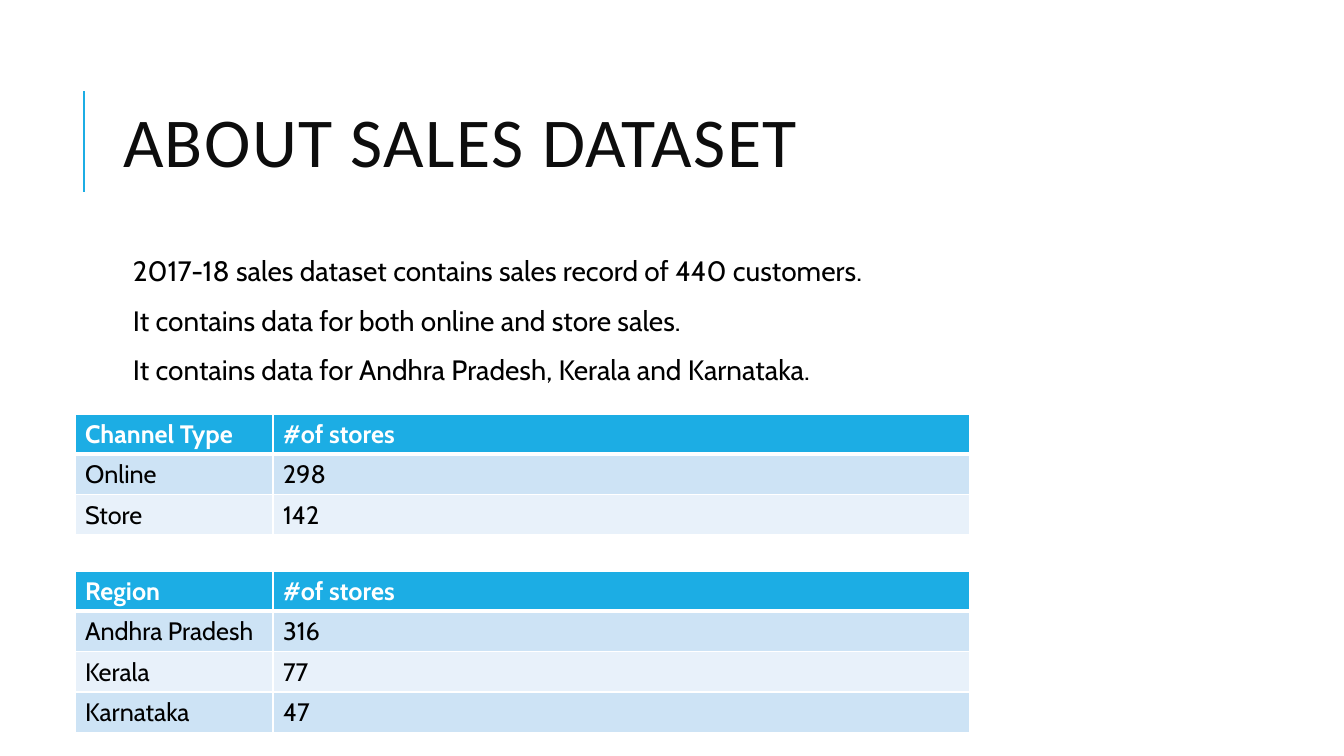
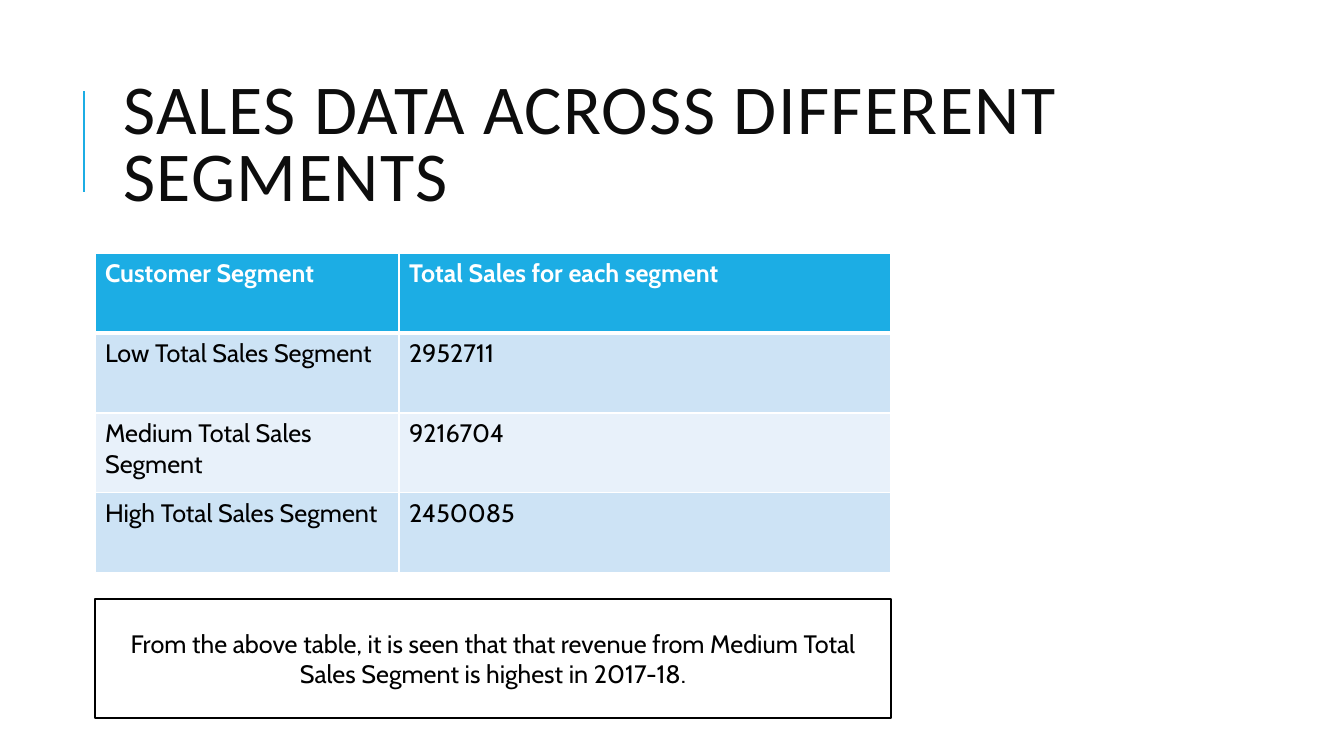
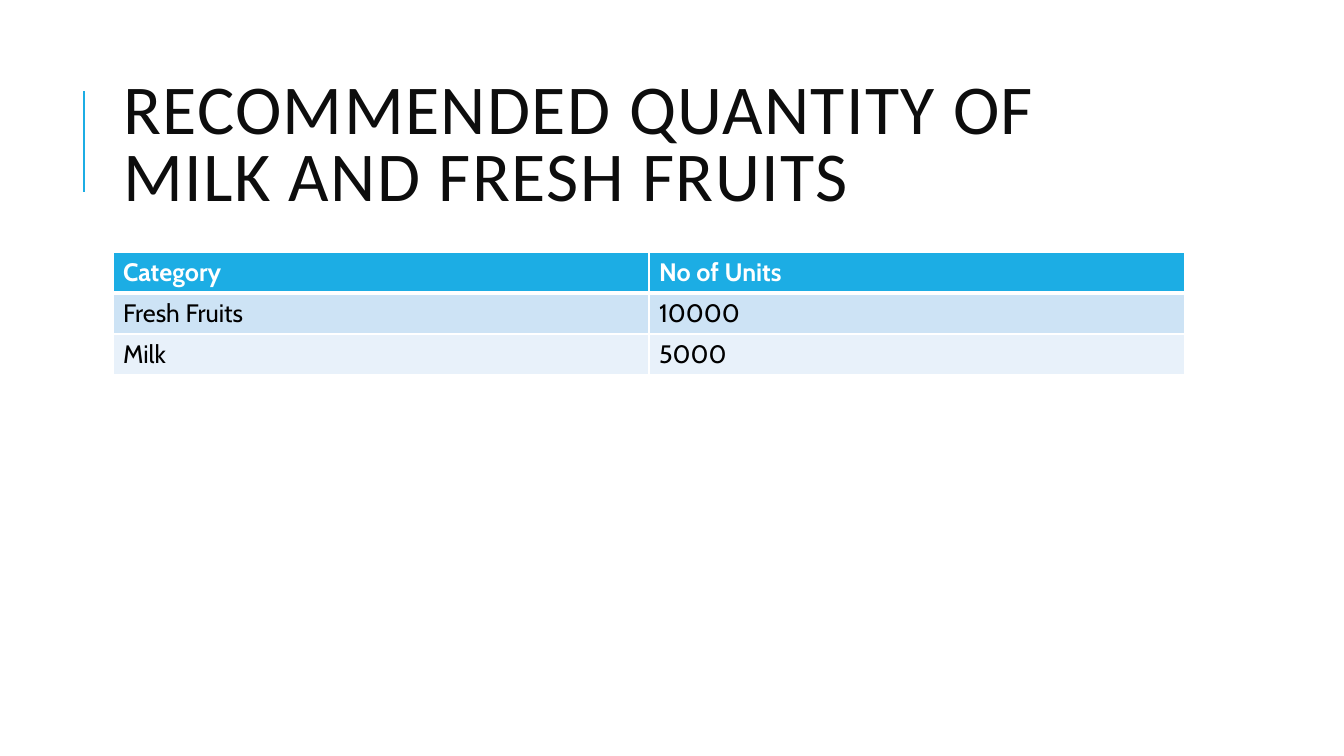
from pptx import Presentation
from pptx.dml.color import RGBColor
from pptx.enum.shapes import MSO_CONNECTOR, MSO_SHAPE
from pptx.enum.text import MSO_ANCHOR, MSO_AUTO_SIZE, PP_ALIGN
from pptx.oxml.ns import qn
from pptx.util import Emu, Pt
from lxml import etree

LEFT, CENTER = PP_ALIGN.LEFT, PP_ALIGN.CENTER
TOP, MIDDLE = MSO_ANCHOR.TOP, MSO_ANCHOR.MIDDLE
NO_FIT = MSO_AUTO_SIZE.NONE
RECTANGLE, STRAIGHT = MSO_SHAPE.RECTANGLE, MSO_CONNECTOR.STRAIGHT

# Content, with positions and sizes in px
PAGES = [
    {
        "title": "ABOUT SALES DATASET",
        "facts": [
            "2017-18 sales dataset contains sales record of 440 customers.",
            "It contains data for both online and store sales.",
            "It contains data for Andhra Pradesh, Kerala and Karnataka.",
        ],
        "tables": [
            {"at": (75, 414), "columns": (198, 697), "row": 40, "rows": [
                ("Channel Type", "#of stores"),
                ("Online", "298"),
                ("Store", "142")]},
            {"at": (75, 571), "columns": (198, 697), "row": 40, "rows": [
                ("Region", "#of stores"),
                ("Andhra Pradesh", "316"),
                ("Kerala", "77"),
                ("Karnataka", "47")]},
        ],
    },
    {
        "title": "SALES DATA ACROSS DIFFERENT SEGMENTS",
        "tables": [
            {"at": (95, 253), "columns": (304, 492), "row": 80, "rows": [
                ("Customer Segment", "Total Sales for each segment"),
                ("Low Total Sales Segment", "2952711"),
                ("Medium Total Sales Segment", "9216704"),
                ("High Total Sales Segment", "2450085")]},
        ],
        "finding": "From the above table, it is seen that that revenue from "
                   "Medium Total Sales Segment is highest in 2017-18.",
    },
    {
        "title": "RECOMMENDED QUANTITY OF MILK AND FRESH FRUITS",
        "tables": [
            {"at": (113, 252), "columns": (536, 536), "row": 41, "rows": [
                ("Category", "No of Units"),
                ("Fresh Fruits", "10000"),
                ("Milk", "5000")]},
        ],
    },
]

PAGE_SIZE = (1344, 756)
TITLE_AREA = (113, 65, 1072, 165)
TITLE_RULE = (84, 192, 84, 91)
FACTS_AREA = (133, 257, 1047, 130)
FINDING_AREA = (95, 599, 796, 119)


class Theme:
    accent = RGBColor.from_string("1CADE4")
    paper = RGBColor.from_string("FFFFFF")
    ink = RGBColor.from_string("000000")
    bands = [RGBColor.from_string(code) for code in ("CDE3F5", "E8F1FA")]
    rule, outline = Pt(1.5), Pt(1.25)
    grid, header_grid = 1, 3
    title = {"name": "Calibri", "size": Pt(50), "bold": False,
             "color": RGBColor.from_string("0D0D0D")}
    fact = {"name": "Cabin", "size": Pt(20), "color": ink}
    cell = {"name": "Cabin", "size": Pt(18), "bold": False, "color": ink}
    header = {**cell, "bold": True, "color": paper}
    title_para = {"alignment": LEFT, "line_spacing": 0.8}
    fact_para = {"alignment": LEFT, "line_spacing": 0.9,
                 "space_before": Pt(12), "space_after": Pt(2)}


def px(*lengths):
    return [Emu(round(length * 914400 / 100.8)) for length in lengths]


def assign(target, values):
    for name, value in values.items():
        setattr(target, name, value)


def write(para, text, font, layout=None):
    span = para.add_run()
    span.text = text
    for name, value in font.items():
        if name == "color":
            span.font.color.rgb = value
        else:
            setattr(span.font, name, value)
    assign(para, layout or {})
    return span


def add_title(page, text):
    title = page.shapes.title
    assign(title, dict(zip(("left", "top", "width", "height"), px(*TITLE_AREA))))
    assign(title.text_frame, {"word_wrap": True, "auto_size": NO_FIT,
                              "vertical_anchor": MIDDLE})
    span = write(title.text_frame.paragraphs[0], text, Theme.title, Theme.title_para)
    span.font._element.set("spc", "100")
    # Accent rule beside the title
    rule = page.shapes.add_connector(STRAIGHT, *px(*TITLE_RULE))
    rule.line.color.rgb = Theme.accent
    rule.line.width = Theme.rule
    etree.SubElement(rule._element.spPr, qn("a:effectLst"))


def add_facts(page, facts):
    frame = page.shapes.add_textbox(*px(*FACTS_AREA)).text_frame
    assign(frame, {"word_wrap": True, "vertical_anchor": TOP, "margin_left": 0,
                   "margin_top": 0, "margin_right": 0, "margin_bottom": 0})
    for index, fact in enumerate(facts):
        para = frame.add_paragraph() if index else frame.paragraphs[0]
        write(para, fact, Theme.fact, Theme.fact_para)


def add_borders(cell, top, bottom):
    properties = cell._tc.get_or_add_tcPr()
    widths = {"lnL": Theme.grid, "lnR": Theme.grid, "lnT": top, "lnB": bottom}
    for side, width in widths.items():
        line = etree.SubElement(properties, qn(f"a:{side}"), w=str(Pt(width)))
        fill = etree.SubElement(line, qn("a:solidFill"))
        etree.SubElement(fill, qn("a:srgbClr"), val=str(Theme.paper))


def add_data_table(page, at, columns, row, rows):
    size = (sum(columns), row * len(rows))
    table = page.shapes.add_table(len(rows), len(columns), *px(*at, *size)).table
    for column, width in zip(table.columns, px(*columns)):
        column.width = width
    for r, texts in enumerate(rows):
        is_header = r == 0
        fill = Theme.accent if is_header else Theme.bands[(r - 1) % 2]
        top = Theme.header_grid if r == 1 else Theme.grid
        bottom = Theme.header_grid if is_header else Theme.grid
        for c, text in enumerate(texts):
            cell = table.cell(r, c)
            add_borders(cell, top, bottom)
            cell.fill.solid()
            cell.fill.fore_color.rgb = fill
            write(cell.text_frame.paragraphs[0], text,
                  Theme.header if is_header else Theme.cell)


def add_finding(page, text):
    box = page.shapes.add_shape(RECTANGLE, *px(*FINDING_AREA))
    box.shadow.inherit = False
    box.fill.solid()
    box.fill.fore_color.rgb = Theme.paper
    box.line.color.rgb = Theme.ink
    box.line.width = Theme.outline
    assign(box.text_frame, {"word_wrap": True, "vertical_anchor": MIDDLE})
    write(box.text_frame.paragraphs[0], text, Theme.cell, {"alignment": CENTER})


def main():
    deck = Presentation()
    deck.slide_width, deck.slide_height = px(*PAGE_SIZE)
    title_only = deck.slide_layouts.get_by_name("Title Only")
    for content in PAGES:
        page = deck.slides.add_slide(title_only)
        add_title(page, content["title"])
        if "facts" in content:
            add_facts(page, content["facts"])
        for table in content["tables"]:
            add_data_table(page, **table)
        if "finding" in content:
            add_finding(page, content["finding"])
    deck.save("out.pptx")


if __name__ == "__main__":
    main()
